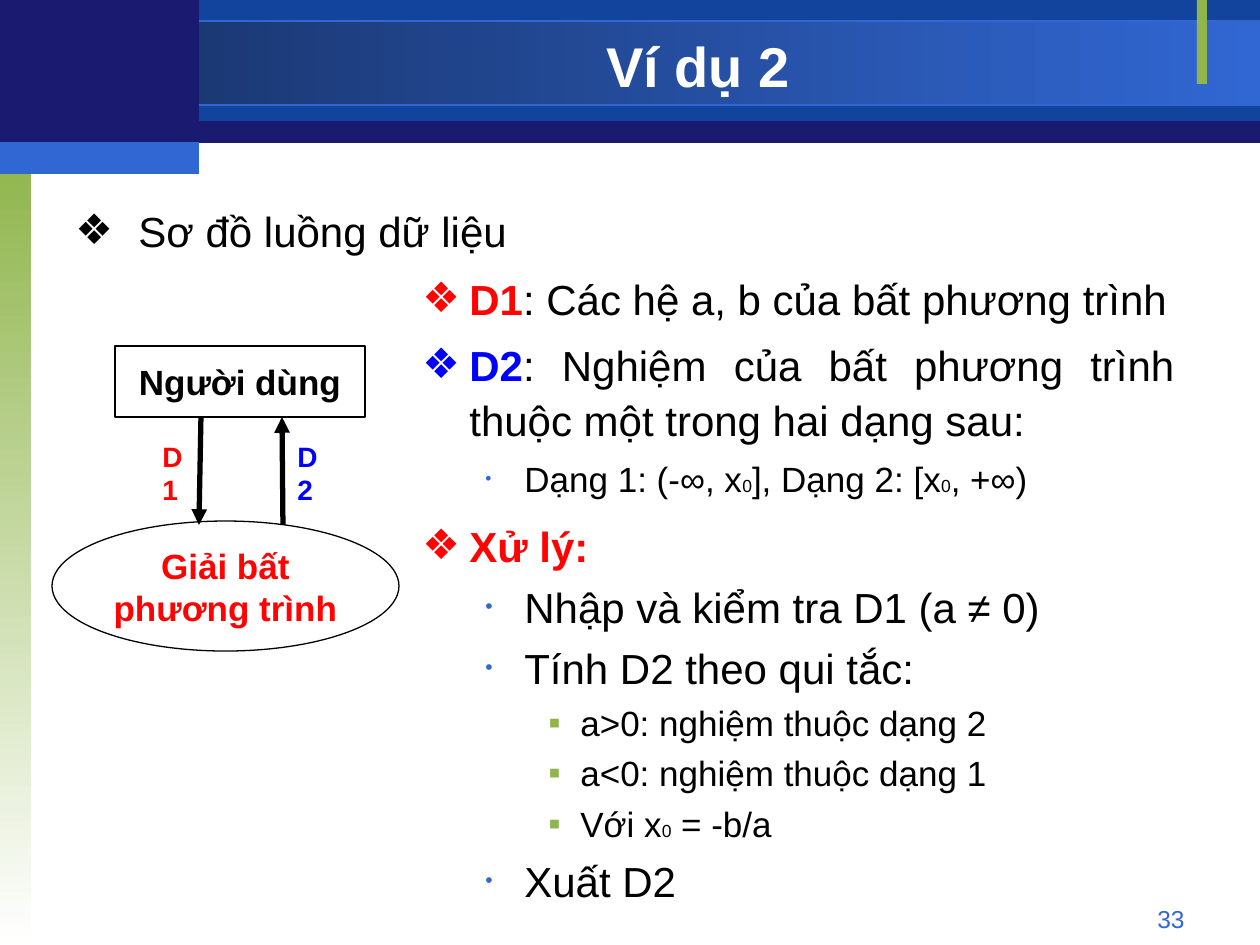
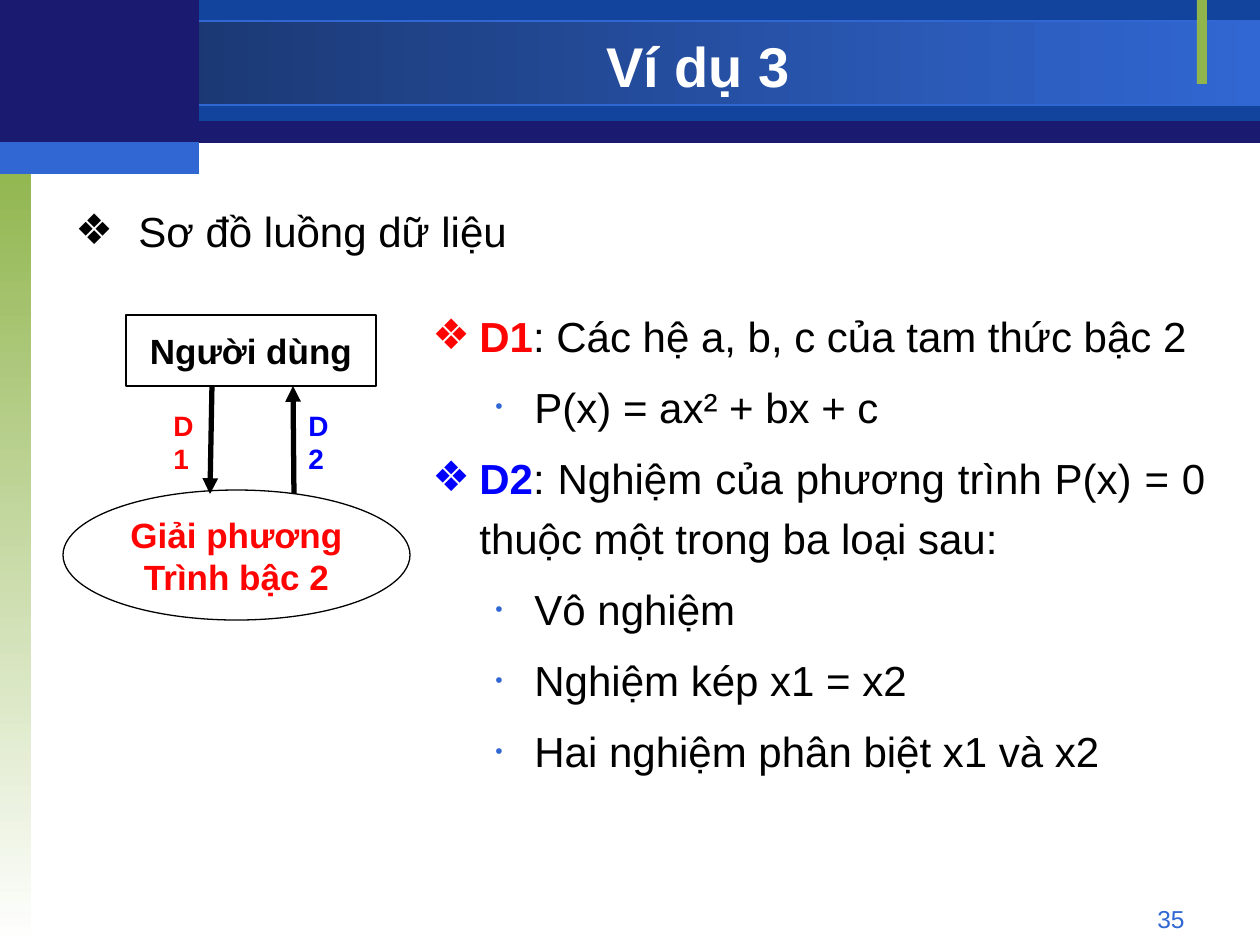
from dataclasses import dataclass

from lxml import etree
from pptx import Presentation
from pptx import util as u
from pptx.dml.color import RGBColor
from pptx.enum import shapes, text
from pptx.oxml.ns import qn

PX = 914400 / 126


@dataclass(frozen=True)
class Theme:
    font: str = "Arial"
    navy: str = "1A1A70"
    royal: str = "12449E"
    dusk: str = "173062"
    blue: str = "3167D3"
    green: str = "90B54D"
    white: str = "FFFFFF"
    black: str = "000000"
    red: str = "FF0303"
    link: str = "0000FF"
    title: int = 32
    body: int = 24
    detail: int = 20
    label: int = 16
    number: int = 14
    subscript: int = 10


T = Theme()

# Back to front: box in px, fill (a pair is a gradient), gradient angle, outline
BANDS = [
    ((0, 1, 1260, 142), T.navy, None, None),
    ((199, 0, 1061, 121), T.royal, None, None),
    ((0, 21, 1260, 84), (T.dusk, T.blue), 0, T.blue),
    ((0, 157, 31, 788), (T.green, T.white), 270, None),
    ((1197, 0, 10, 84), T.green, None, None),
    ((0, 0, 199, 147), T.navy, None, None),
    ((0, 142, 199, 32), T.blue, None, None),
]
TITLE_BOX = (199, 29, 998, 73)
NUMBER_BOX = (903, 898, 294, 34)
HEADING_BOX = (63, 189, 966, 84)

# Bullet levels: left indent and hang in px, sign, colour (None: that of the first span), size %
LEVELS = [
    (47, 47, "❖", None, None),
    (102, 39, "•", T.blue, 50),
    (158, 32, "▪", T.green, None),
]
HEADING_LEVEL = (63, 63, "❖", None, None)

# Data flow diagram, relative to its own corner
USER_BOX = (63, 0, 250, 71)
PROCESS_BOX = (0, 175, 347, 130)
FLOWS = [
    ("D1", T.red, (149, 71), (147, 179), (98, 87, 60, 47)),
    ("D2", T.link, (231, 179), (230, 71), (233, 87, 60, 47)),
]


def span(words, size=T.body, color=T.black, bold=False):
    return words, size, color, bold


def key(words, color):
    return span(words, color=color, bold=True)


def with_index(*words):
    """Detail text with a small 0 between the pieces."""
    spans = [span(words[0], T.detail)]
    for piece in words[1:]:
        spans += [span("0", T.subscript), span(piece, T.detail)]
    return spans


HEADING = "Sơ đồ luồng dữ liệu"
USER = "Người dùng"
SLIDES = [
    {
        "title": "Ví dụ 2",
        "number": "33",
        "flow_at": (52, 346),
        "process": ["Giải bất", "phương trình"],
        "notes": [
            ((410, 262, 777, 262), 1.1, [
                (0, [key("D1", T.red), span(": Các hệ a, b của bất phương trình")]),
                (0, [key("D2", T.link),
                     span(": Nghiệm của bất phương trình thuộc một trong hai dạng sau:")]),
                (1, with_index("Dạng 1: (-∞, x", "], Dạng 2: [x", ", +∞)")),
            ]),
            ((410, 514, 809, 399), 1.0, [
                (0, [key("Xử lý:", T.red)]),
                (1, [span("Nhập và kiểm tra D1 (a ≠ 0)")]),
                (1, [span("Tính D2 theo qui tắc:")]),
                (2, [span("a>0: nghiệm thuộc dạng 2", T.detail)]),
                (2, [span("a<0: nghiệm thuộc dạng 1", T.detail)]),
                (2, with_index("Với x", " = -b/a")),
                (1, [span("Xuất D2")]),
            ]),
        ],
    },
    {
        "title": "Ví dụ 3",
        "number": "35",
        "flow_at": (63, 315),
        "process": ["Giải phương", "Trình bậc 2"],
        "notes": [
            ((420, 294, 798, 567), 1.2, [
                (0, [key("D1", T.red), span(": Các hệ a, b, c của tam thức bậc 2")]),
                (1, [span("P(x) = ax² + bx + c")]),
                (0, [key("D2", T.link),
                     span(": Nghiệm của phương trình P(x) = 0 thuộc một trong ba loại sau:")]),
                (1, [span("Vô nghiệm")]),
                (1, [span("Nghiệm kép x1 = x2")]),
                (1, [span("Hai nghiệm phân biệt x1 và x2")]),
            ]),
        ],
    },
]


def emu(*lengths):
    return [round(length * PX) for length in lengths]


def shift(place, origin):
    """Move a point or a box by the origin, keeping any size."""
    return (place[0] + origin[0], place[1] + origin[1], *place[2:])


def rgb(color):
    return RGBColor.from_string(color)


def add_spans(para, spans):
    for words, size, color, bold in spans:
        run = para.add_run()
        run.text = words
        run.font.name = T.font
        run.font.size = u.Pt(size)
        run.font.bold = bold
        run.font.color.rgb = rgb(color)


def fill_frame(frame, lines, align, wrap=True, middle=False):
    """Write one paragraph per list of spans and return the paragraphs."""
    frame.word_wrap = wrap
    frame.vertical_anchor = text.MSO_ANCHOR.MIDDLE if middle else text.MSO_ANCHOR.TOP
    paras = []
    for spans in lines:
        para = frame.add_paragraph() if paras else frame.paragraphs[0]
        para.alignment = align
        add_spans(para, spans)
        paras.append(para)
    return paras


def add_text(page, place, lines, align=text.PP_ALIGN.LEFT, **options):
    box = page.shapes.add_textbox(*emu(*place))
    return fill_frame(box.text_frame, lines, align, **options)


def add_bullet(para, level, color):
    left, hang, sign, own_color, percent = level
    props = para._p.get_or_add_pPr()
    props.set("marL", str(emu(left)[0]))
    props.set("indent", str(-emu(hang)[0]))
    tint = etree.SubElement(props, qn("a:buClr"))
    etree.SubElement(tint, qn("a:srgbClr")).set("val", own_color or color)
    if percent:
        etree.SubElement(props, qn("a:buSzPct")).set("val", str(percent * 1000))
    etree.SubElement(props, qn("a:buFont")).set("typeface", T.font)
    etree.SubElement(props, qn("a:buChar")).set("char", sign)


def add_bullets(page, place, spacing, items):
    """Add a justified list of (level, spans)."""
    paras = add_text(page, place, [spans for _, spans in items], text.PP_ALIGN.JUSTIFY)
    for para, (level, spans) in zip(paras, items):
        _, size, color, _ = spans[0]
        para.line_spacing = spacing
        para.space_before = u.Pt(size / 4)
        add_bullet(para, level, color)


def add_shape(page, kind, place, fill=None, angle=None, outline=None):
    shape = page.shapes.add_shape(kind, *emu(*place))
    shape.shadow.inherit = False
    if fill is None:
        shape.fill.background()
    elif angle is None:
        shape.fill.solid()
        shape.fill.fore_color.rgb = rgb(fill)
    else:
        shape.fill.gradient()
        shape.fill.gradient_angle = angle
        for stop, color in zip(shape.fill.gradient_stops, fill):
            stop.color.rgb = rgb(color)
    if outline:
        shape.line.color.rgb = rgb(outline)
        shape.line.width = u.Pt(0.75)
    else:
        shape.line.fill.background()
    return shape


def add_arrow(page, start, end):
    arrow = page.shapes.add_connector(shapes.MSO_CONNECTOR.STRAIGHT, *emu(*start, *end))
    arrow.line.color.rgb = rgb(T.black)
    arrow.line.width = u.Pt(3)
    etree.SubElement(arrow.line._get_or_add_ln(), qn("a:tailEnd")).set("type", "triangle")
    etree.SubElement(arrow._element.spPr, qn("a:effectLst"))


def add_node(page, kind, place, lines, color):
    node = add_shape(page, kind, place, outline=T.black)
    spans = [[span(line, T.detail, color, True)] for line in lines]
    fill_frame(node.text_frame, spans, text.PP_ALIGN.CENTER, wrap=False, middle=True)


def add_flow_diagram(page, origin, process):
    kinds = shapes.MSO_SHAPE
    add_node(page, kinds.RECTANGLE, shift(USER_BOX, origin), [USER], T.black)
    add_node(page, kinds.OVAL, shift(PROCESS_BOX, origin), process, T.red)
    for name, color, start, end, label in FLOWS:
        add_arrow(page, shift(start, origin), shift(end, origin))
        add_text(page, shift(label, origin), [[span(name, T.label, color, True)]], wrap=False)


def add_frame(page, title, number):
    """Add the bands, page number and title that all slides share."""
    for place, fill, angle, outline in BANDS:
        add_shape(page, shapes.MSO_SHAPE.RECTANGLE, place, fill, angle, outline)
    add_text(page, NUMBER_BOX, [[span(number, T.number, T.blue)]], text.PP_ALIGN.RIGHT)
    add_text(page, TITLE_BOX, [[span(title, T.title, T.white, True)]],
             text.PP_ALIGN.CENTER, middle=True)


def main():
    deck = Presentation()
    deck.slide_width, deck.slide_height = emu(1260, 945)
    for content in SLIDES:
        page = deck.slides.add_slide(deck.slide_layouts[6])
        add_frame(page, content["title"], content["number"])
        for place, spacing, items in content["notes"]:
            add_bullets(page, place, spacing,
                        [(LEVELS[depth], spans) for depth, spans in items])
        add_flow_diagram(page, content["flow_at"], content["process"])
        add_bullets(page, HEADING_BOX, 1.2, [(HEADING_LEVEL, [span(HEADING)])])
    deck.save("out.pptx")


if __name__ == "__main__":
    main()
